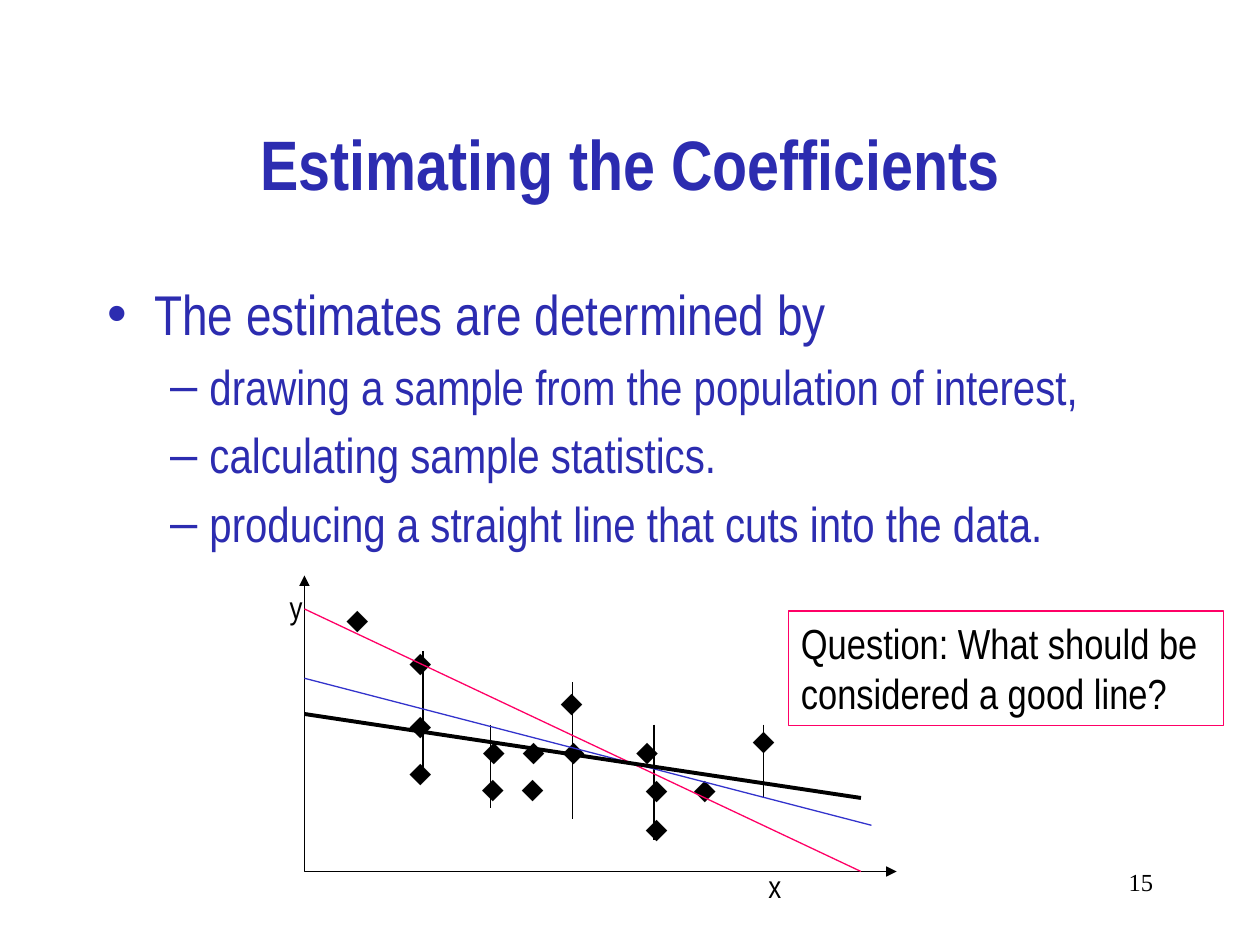
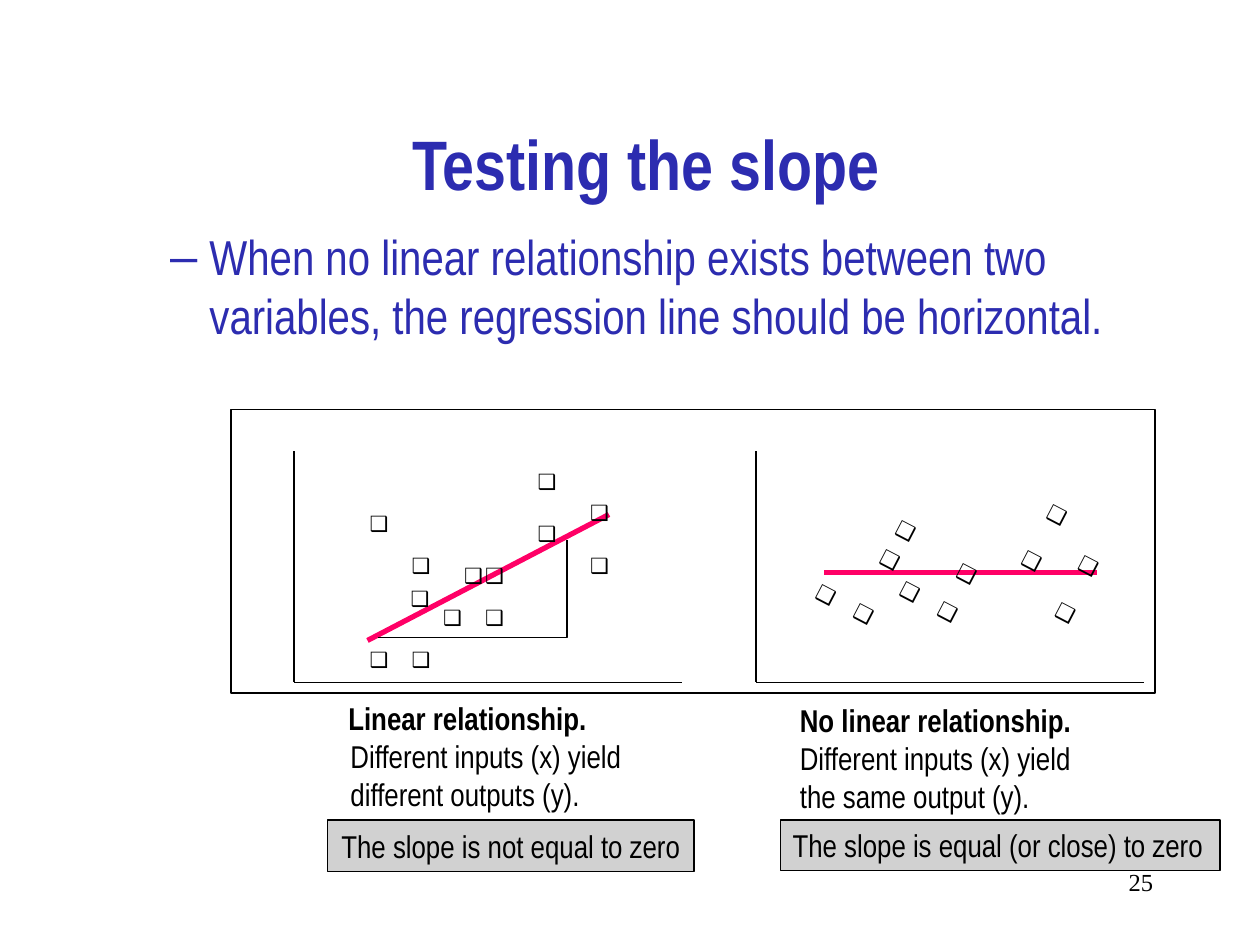
"""Build two regression slides: choosing a fitted line and testing its slope."""
from dataclasses import dataclass

import lxml.etree
import pptx
import pptx.dml.color
import pptx.enum.shapes
import pptx.enum.text
import pptx.oxml.ns
import pptx.util

Align = pptx.enum.text.PP_ALIGN
Anchor = pptx.enum.text.MSO_ANCHOR
AutoSize = pptx.enum.text.MSO_AUTO_SIZE
qn = pptx.oxml.ns.qn

COLS, ROWS = 120, 90
CELL = pptx.util.Inches(10) // COLS
BLACK, WHITE, GREY = "000000", "FFFFFF", "D1D1D1"
INDIGO, BLUE, PINK = "2C2CB0", "3333CC", "FF0066"
NARROW, SANS, SERIF = "Arial Narrow", "Arial", "Times New Roman"


@dataclass(frozen=True)
class Box:
    x: float
    y: float
    w: float
    h: float


@dataclass(frozen=True)
class Line:
    x1: float
    y1: float
    x2: float
    y2: float
    color: str = BLACK
    width: float = 0.75


@dataclass(frozen=True)
class Marker:
    glyph: str
    size: float
    w: float
    h: float
    rotation: float = 0


@dataclass(frozen=True)
class Label:
    box: Box
    lines: tuple[str, ...]
    bold_first: bool = False
    size: float = 18
    font: str = NARROW
    align: Align = Align.LEFT
    anchor: Anchor = Anchor.TOP
    fill: str = ""
    line: str = ""


TITLE = Box(9, 8, 102, 15)
PAGE = Box(86, 82, 25, 6)
DIAMOND = Marker("⬥", 18, 4.2, 4.8)
SQUARE = Marker("❑", 12, 4.2, 3.6)
TILTED = Marker("❑", 12, 4.2, 3.6, 27.5)

SAMPLE = [
    (33.9, 58.9), (39.9, 62.9), (39.9, 68.9), (39.9, 73.4), (46.9, 71.4),
    (50.7, 71.4), (54.5, 71.4), (61.5, 71.4), (54.3, 66.8), (62.4, 75),
    (67, 75), (72.6, 70.4), (46.8, 74.9), (50.6, 74.9), (62.4, 78.8),
]
RESIDUALS = [(40.3, 62, 74), (46.7, 69, 77), (54.5, 65, 78), (62.3, 69, 80), (72.7, 69, 76)]
CANDIDATES = [
    Line(29, 64.6, 83, 78.6, BLUE),
    Line(29, 58, 82, 83, PINK),
    Line(29, 68, 82, 76, BLACK, 2.25),
]
SLOPED_POINTS = [
    (45.1, 54.8), (36.1, 49.8), (43.1, 58.8), (40.1, 53.8), (40, 57),
    (36.1, 62.8), (52.1, 50.8), (47.1, 54.8), (57.1, 53.8), (47.1, 58.8),
    (52.1, 45.8), (40.1, 62.8), (57.1, 48.8),
]
FLAT_POINTS = [
    (86.7, 56.3), (86.3, 50.5), (84.8, 53.3), (78.7, 56.6), (98.3, 53.4),
    (92.1, 54.6), (101.5, 58.3), (90.3, 58.2), (100.7, 49), (82.3, 58.4),
    (103.7, 53.9),
]
FIT_LABELS = [
    Label(Box(75.1, 58.2, 41.4, 10.9), ("Question: What should be", "considered a good line?"),
          size=24, fill=WHITE, line=PINK),
    Label(Box(72, 82, 3.6, 4.8), ("x",)),
    Label(Box(26.4, 55.4, 3.6, 4.8), ("y",)),
]
SLOPE_LABELS = [
    Label(Box(32, 66, 25.2, 4.8), ("Linear relationship.",), True, anchor=Anchor.MIDDLE),
    Label(Box(32.2, 69.6, 28.3, 8.4), ("Different inputs (x) yield", "different outputs (y)."),
          anchor=Anchor.MIDDLE),
    Label(Box(75, 66.2, 28.3, 12),
          ("No linear relationship.", "Different inputs (x) yield", "the same output (y)."),
          True, anchor=Anchor.MIDDLE),
    Label(Box(31.2, 78.1, 34.9, 4.9), ("The slope is not equal to zero",),
          align=Align.CENTER, anchor=Anchor.MIDDLE, fill=GREY, line=BLACK),
    Label(Box(74.3, 78.1, 41.9, 4.8), ("The slope is equal (or close) to zero",),
          anchor=Anchor.MIDDLE, fill=GREY, line=BLACK),
]


def grid(n: float) -> pptx.util.Emu:
    return pptx.util.Emu(round(n * CELL))


def rgb(color: str) -> pptx.dml.color.RGBColor:
    return pptx.dml.color.RGBColor.from_string(color)


def frame(box: Box) -> list[pptx.util.Emu]:
    return [grid(n) for n in (box.x, box.y, box.w, box.h)]


def place(sp, box: Box) -> None:
    sp.left, sp.top, sp.width, sp.height = frame(box)


def add_run(p, text: str, size: float, color: str = BLACK, font: str = NARROW,
            bold: bool = False) -> None:
    r = p.add_run()
    r.text = text
    r.font.size, r.font.name, r.font.bold = pptx.util.Pt(size), font, bold
    r.font.color.rgb = rgb(color)


def outline(sp, color: str, width: float = 0.75) -> None:
    sp.line.color.rgb = rgb(color)
    sp.line.width = pptx.util.Pt(width)


def add_rect(slide, box: Box, fill: str, line: str):
    sp = slide.shapes.add_shape(pptx.enum.shapes.MSO_SHAPE.RECTANGLE, *frame(box))
    sp.shadow.inherit = False
    sp.fill.solid()
    sp.fill.fore_color.rgb = rgb(fill)
    outline(sp, line)
    return sp


def add_label(slide, label: Label):
    if label.fill:
        sp = add_rect(slide, label.box, label.fill, label.line)
    else:
        sp = slide.shapes.add_textbox(*frame(label.box))
    tf = sp.text_frame
    tf.word_wrap = False
    tf.auto_size = AutoSize.SHAPE_TO_FIT_TEXT
    tf.vertical_anchor = label.anchor
    for i, text in enumerate(label.lines):
        p = tf.add_paragraph() if i else tf.paragraphs[0]
        p.alignment = label.align
        add_run(p, text, label.size, font=label.font, bold=label.bold_first and i == 0)
    return sp


def add_markers(slide, marker: Marker, centres: list[tuple[float, float]]) -> None:
    for x, y in centres:
        box = Box(x - marker.w / 2, y - marker.h / 2, marker.w, marker.h)
        sp = add_label(slide, Label(box, (marker.glyph,), size=marker.size, font=SANS,
                                    align=Align.CENTER, anchor=Anchor.MIDDLE))
        sp.rotation = marker.rotation


def add_line(slide, line: Line) -> None:
    ends = [grid(n) for n in (line.x1, line.y1, line.x2, line.y2)]
    sp = slide.shapes.add_connector(pptx.enum.shapes.MSO_CONNECTOR.STRAIGHT, *ends)
    outline(sp, line.color, line.width)
    lxml.etree.SubElement(sp._element.spPr, qn("a:effectLst"))


def add_path(slide, points: list[tuple[float, float]], arrows: bool = False) -> None:
    start, *rest = [(grid(x), grid(y)) for x, y in points]
    builder = slide.shapes.build_freeform(*start)
    builder.add_line_segments(rest, close=False)
    sp = builder.convert_to_shape()
    sp.shadow.inherit = False
    sp.fill.background()
    outline(sp, BLACK)
    if arrows:
        for tag in ("a:headEnd", "a:tailEnd"):
            lxml.etree.SubElement(sp.line._get_or_add_ln(), qn(tag), type="triangle")


def add_slide(prs, title: str, page: str, body: Box, items: list[tuple[int, str]],
              title_indent: float = 0):
    slide = prs.slides.add_slide(prs.slide_layouts[1])
    heading, content = slide.placeholders
    place(heading, TITLE)
    heading.text_frame.auto_size = AutoSize.NONE
    p = heading.text_frame.paragraphs[0]
    p.alignment = Align.CENTER
    if title_indent:
        p._p.get_or_add_pPr().set("marL", str(grid(title_indent)))
    add_run(p, title, 40, INDIGO, bold=True)

    place(content, body)
    tf = content.text_frame
    tf.auto_size = AutoSize.NONE
    for i, (level, text) in enumerate(items):
        p = tf.add_paragraph() if i else tf.paragraphs[0]
        p.level = level
        add_run(p, text, 28 if level else 32, INDIGO)

    tf = slide.shapes.add_textbox(*frame(PAGE)).text_frame
    tf.word_wrap = True
    tf.paragraphs[0].alignment = Align.RIGHT
    add_run(tf.paragraphs[0], page, 14, font=SERIF)
    return slide


def build_estimating(prs) -> None:
    slide = add_slide(prs, "Estimating the Coefficients", "15", Box(9, 26, 102, 28), [
        (0, "The estimates are determined by"),
        (1, "drawing a sample from the population of interest,"),
        (1, "calculating sample statistics."),
        (1, "producing a straight line that cuts into the data."),
    ])
    add_path(slide, [(29, 54.8), (29, 83), (85.4, 83)], arrows=True)
    add_markers(slide, DIAMOND, SAMPLE)
    for x, top, bottom in RESIDUALS:
        add_line(slide, Line(x, top, x, bottom))
    for line in CANDIDATES:
        add_line(slide, line)
    for label in FIT_LABELS:
        add_label(slide, label)


def build_testing(prs) -> None:
    slide = add_slide(prs, "Testing the slope", "25", Box(9, 21, 102, 12), [
        (1, "When no linear relationship exists between two variables, "
            "the regression line should be horizontal."),
    ], title_indent=3)
    add_rect(slide, Box(22, 39, 88, 27), WHITE, BLACK)
    for x in (28, 72):
        add_line(slide, Line(x, 43, x, 65))
        add_line(slide, Line(x, 65, x + 37, 65))
    add_line(slide, Line(78.5, 54.5, 104.5, 54.5, PINK, 3))
    add_markers(slide, TILTED, FLAT_POINTS)
    add_line(slide, Line(35, 61, 58, 49, PINK, 3))
    add_markers(slide, SQUARE, SLOPED_POINTS)
    add_path(slide, [(36, 60.7), (54, 60.7), (54, 51.4)])
    for label in SLOPE_LABELS:
        add_label(slide, label)


def main() -> None:
    prs = pptx.Presentation()
    prs.slide_width, prs.slide_height = grid(COLS), grid(ROWS)
    build_estimating(prs)
    build_testing(prs)
    prs.save("out.pptx")


if __name__ == "__main__":
    main()
